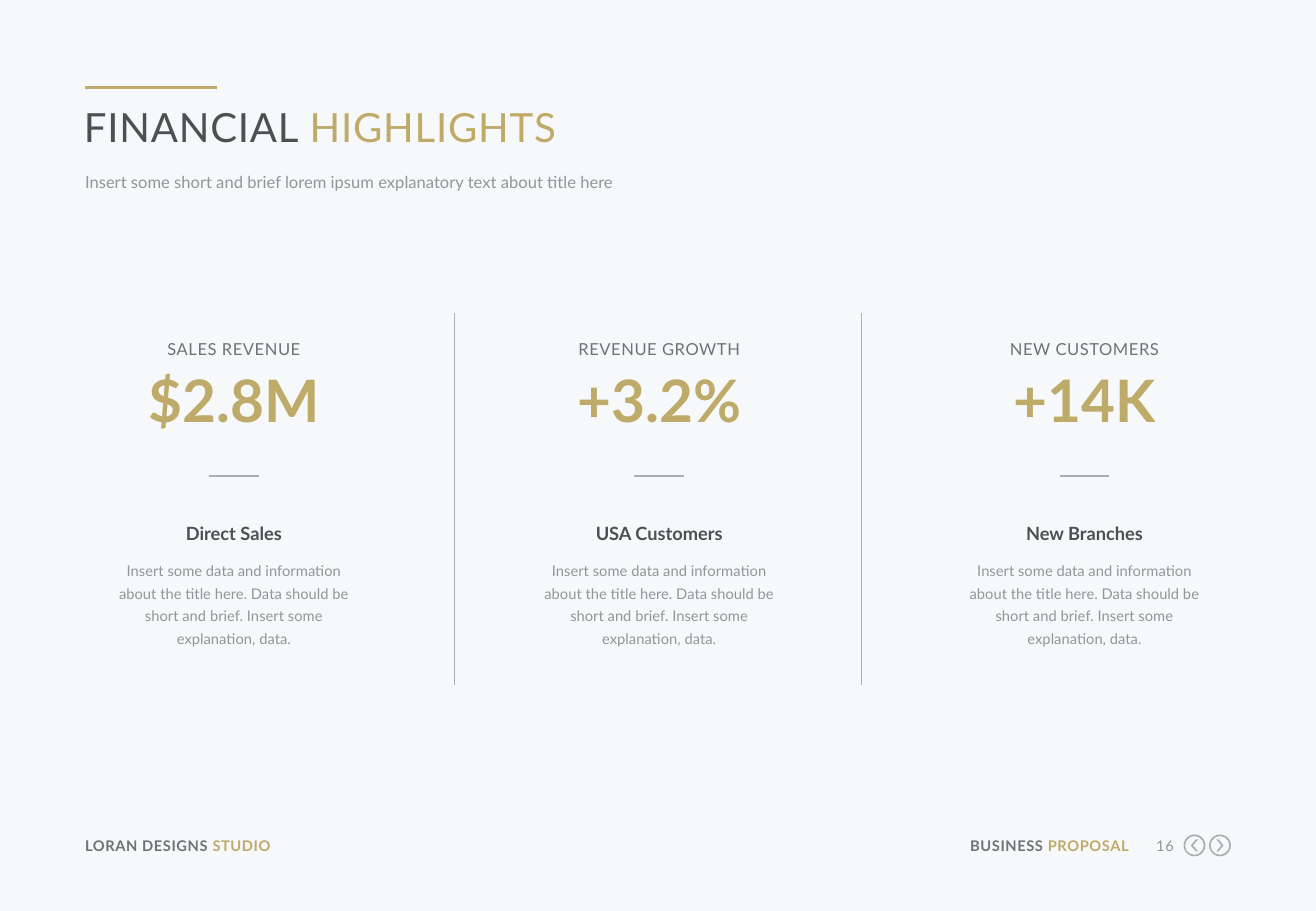
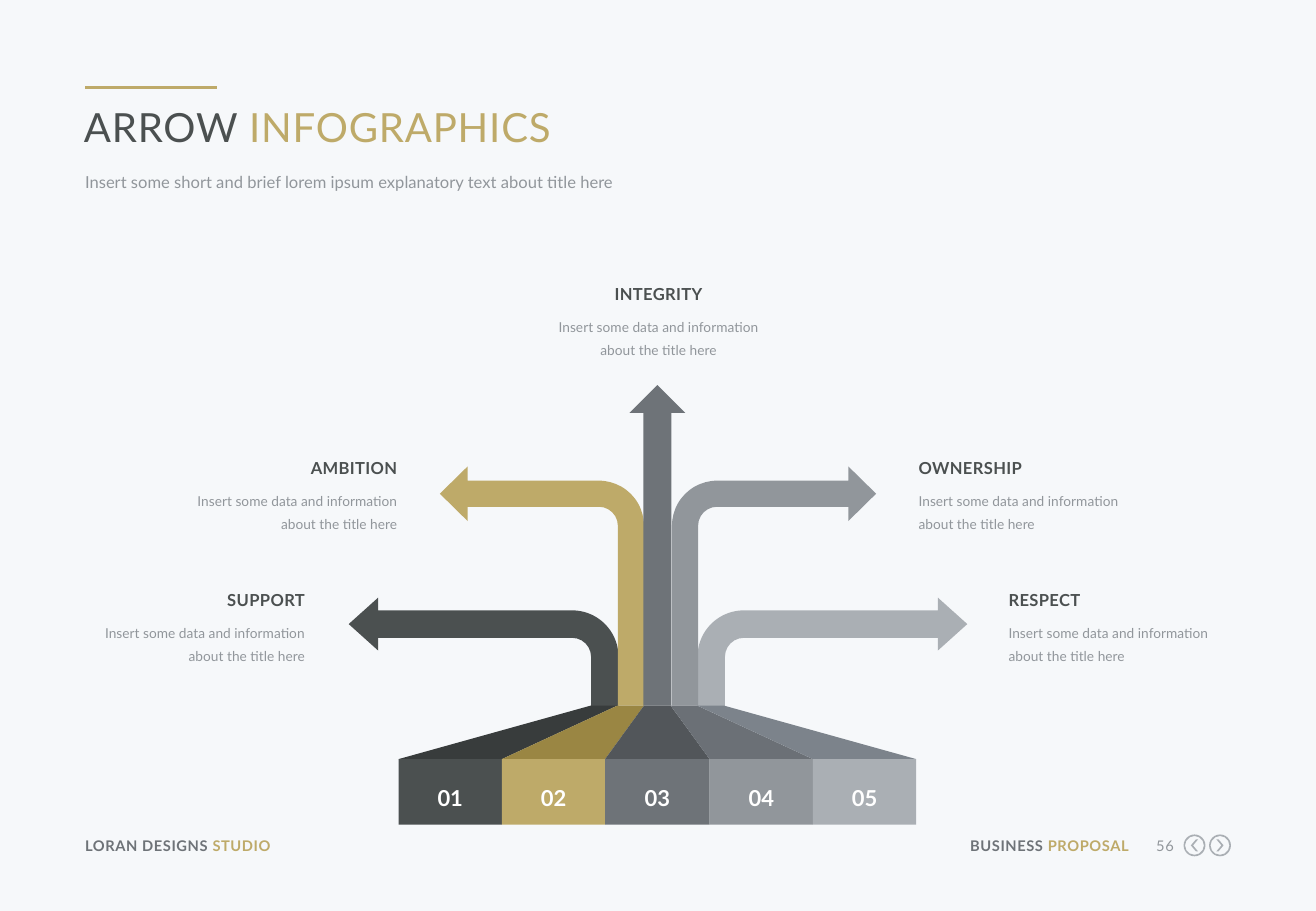
from lxml.etree import SubElement
from pptx import Presentation
from pptx.dml.color import RGBColor
from pptx.enum.shapes import MSO_CONNECTOR, MSO_SHAPE
from pptx.enum.text import MSO_ANCHOR, PP_ALIGN
from pptx.oxml.ns import qn
from pptx.util import Emu, Pt

PX = 9144
FONT = "Lato"
PAPER, WHITE, GOLD = "F6F8FA", "FFFFFF", "BEAA69"
INK, SLATE, GREY, SILVER = "4B5050", "6E7378", "91969B", "AAAFB4"
LEFT, CENTER, RIGHT = PP_ALIGN.LEFT, PP_ALIGN.CENTER, PP_ALIGN.RIGHT

SUBTITLE = "Insert some short and brief lorem ipsum explanatory text about title here"
STUDIO = [("LORAN DESIGNS ", SLATE), ("STUDIO", GOLD)]
DOCUMENT = [("BUSINESS ", SLATE), ("PROPOSAL", GOLD)]
NAV_BUTTONS = [(974, 980, 180), (995, 1001, 0)]

HIGHLIGHT_NOTE = ("Insert some data and information about the title here. Data should be "
                  "short and brief. Insert some explanation, data.")
HIGHLIGHTS = [
    ("SALES REVENUE", "$2.8M", "Direct Sales"),
    ("REVENUE GROWTH", "+3.2%", "USA Customers"),
    ("NEW CUSTOMERS", "+14K", "New Branches"),
]
DIVIDERS = [374, 709]

VALUE_NOTE = "Insert some data and information about the title here"
VALUES = [
    ("AMBITION", 157, 377, RIGHT),
    ("SUPPORT", 81, 486, RIGHT),
    ("INTEGRITY", 457, 234, CENTER),
    ("OWNERSHIP", 756, 377, LEFT),
    ("RESPECT", 830, 486, LEFT),
]
SHORT_BEND = (0.254, 0.245, 0.272, 0.429)
TALL_BEND = (0.128, 0.134, 0.136, 0.221)
BENT_ARROWS = [
    ((574, 492, 222, 89), SHORT_BEND, SILVER, False),
    ((553, 384, 168, 197), TALL_BEND, GREY, False),
    ((287, 492, 222, 89), SHORT_BEND, INK, True),
    ((362, 384, 168, 197), TALL_BEND, GOLD, True),
]
STEPS = [
    ("01", INK, "383C3C"),
    ("02", GOLD, "9A8643"),
    ("03", SLATE, "52565A"),
    ("04", GREY, "6B7076"),
    ("05", SILVER, "7C838B"),
]


def rgb(color):
    return RGBColor.from_string(color)


def px(*lengths):
    return [Emu(length * PX) for length in lengths]


def write(frame, runs, size, color=GREY, bold=False, align=LEFT, spacing=None, tracking=0):
    frame.word_wrap = True
    frame.margin_left = frame.margin_right = frame.margin_top = frame.margin_bottom = 0
    paragraph = frame.paragraphs[0]
    paragraph.alignment = align
    if spacing:
        paragraph.line_spacing = spacing
    for words, run_color in [(runs, color)] if isinstance(runs, str) else runs:
        run = paragraph.add_run()
        run.text = words
        run.font.name = FONT
        run.font.size = Emu(round(size * 12700))
        run.font.bold = bold
        run.font.color.rgb = rgb(run_color)
        if tracking:
            run.font._element.set("spc", str(round(tracking * 100)))


def add_text(shapes, box, runs, size, **style):
    write(shapes.add_textbox(*px(*box)).text_frame, runs, size, **style)


def paint(shape, color):
    shape.shadow.inherit = False
    shape.fill.solid()
    shape.fill.fore_color.rgb = rgb(color)
    shape.line.fill.background()
    return shape


def add_block(shapes, preset, box, color, adjust=()):
    shape = paint(shapes.add_shape(preset, *px(*box)), color)
    for index, value in enumerate(adjust):
        shape.adjustments[index] = value
    return shape


def add_rule(shapes, ends, color, width):
    rule = shapes.add_connector(MSO_CONNECTOR.STRAIGHT, *px(*ends))
    rule.line.color.rgb = rgb(color)
    rule.line.width = Pt(width)
    SubElement(rule._element.spPr, qn("a:effectLst"))


def add_page(deck, title, number):
    slide = deck.slides.add_slide(deck.slide_layouts[6])
    slide.background.fill.solid()
    slide.background.fill.fore_color.rgb = rgb(PAPER)
    shapes = slide.shapes
    add_rule(shapes, (70, 72, 179, 72), GOLD, 2.25)
    add_text(shapes, (69, 84, 942, 41), title, 23.8, tracking=0.5)
    add_text(shapes, (70, 140, 942, 21), SUBTITLE, 9.8, spacing=Pt(13))
    add_text(shapes, (70, 689, 211, 15), STUDIO, 8.7, bold=True, tracking=0.3)
    add_text(shapes, (792, 689, 137, 15), DOCUMENT, 8.7, bold=True, align=RIGHT, tracking=0.3)
    add_text(shapes, (941, 689, 25, 15), number, 8.7, align=RIGHT, tracking=0.3)
    for ring_x, chevron_x, turn in NAV_BUTTONS:
        add_block(shapes, MSO_SHAPE.DONUT, (ring_x, 687, 18, 18), SILVER, [0.07])
        chevron = add_block(shapes, MSO_SHAPE.CHEVRON, (chevron_x, 691, 6, 10), SILVER, [0.7])
        chevron.rotation = turn
    return shapes


def add_highlights(deck):
    shapes = add_page(deck, [("FINANCIAL ", INK), ("HIGHLIGHTS", GOLD)], "16")
    for x in DIVIDERS:
        add_rule(shapes, (x, 258, x, 564), SILVER, 0.75)
    for index, (label, figure, heading) in enumerate(HIGHLIGHTS):
        x = 93 + 350 * index
        card = shapes.add_group_shape().shapes
        add_text(card, (x, 279, 199, 16), label, 9.8, color=SLATE, align=CENTER, tracking=0.3)
        add_text(card, (x, 300, 199, 58), figure, 34.7, color=GOLD, bold=True, align=CENTER)
        add_rule(card, (x + 79, 392, x + 120, 392), SILVER, 1)
        add_text(card, (x, 430, 199, 18), heading, 10.8, color=INK, bold=True, align=CENTER)
        add_text(card, (x, 458, 199, 76), HIGHLIGHT_NOTE, 8.7, align=CENTER, spacing=1.3)


def add_arrows(deck):
    shapes = add_page(deck, [("ARROW ", INK), ("INFOGRAPHICS", GOLD)], "56")
    for box, bend, color, mirrored in BENT_ARROWS:
        arrow = add_block(shapes, MSO_SHAPE.BENT_ARROW, box, color, bend)
        if mirrored:
            arrow._element.spPr.find(qn("a:xfrm")).set("flipH", "1")
    add_block(shapes, MSO_SHAPE.UP_ARROW, (518, 317, 46, 264), SLATE)

    stems = [486 + 22 * i for i in range(len(STEPS) + 1)]
    bases = [round(328 + 85.2 * i) for i in range(len(STEPS) + 1)]
    for i, (number, color, shade) in enumerate(STEPS):
        slope = shapes.build_freeform(stems[i], 581, scale=PX)
        slope.add_line_segments([(stems[i + 1], 581), (bases[i + 1], 625), (bases[i], 625)])
        paint(slope.convert_to_shape(), shade)
        box = (bases[i], 625, bases[i + 1] - bases[i], 54)
        frame = add_block(shapes, MSO_SHAPE.RECTANGLE, box, color).text_frame
        write(frame, number, 13, color=WHITE, bold=True, align=CENTER, spacing=1.2)
        frame.vertical_anchor = MSO_ANCHOR.MIDDLE
        frame.margin_top = Emu(6 * PX)

    for heading, x, y, align in VALUES:
        value = shapes.add_group_shape().shapes
        add_text(value, (x, y, 170, 16), heading, 9.8, color=INK, bold=True, align=align,
                 tracking=0.2)
        add_text(value, (x, y + 23, 170, 38), VALUE_NOTE, 8.1, align=align, spacing=1.4)


def main():
    deck = Presentation()
    deck.slide_width, deck.slide_height = px(1083, 750)
    add_highlights(deck)
    add_arrows(deck)
    deck.save("out.pptx")


if __name__ == "__main__":
    main()
